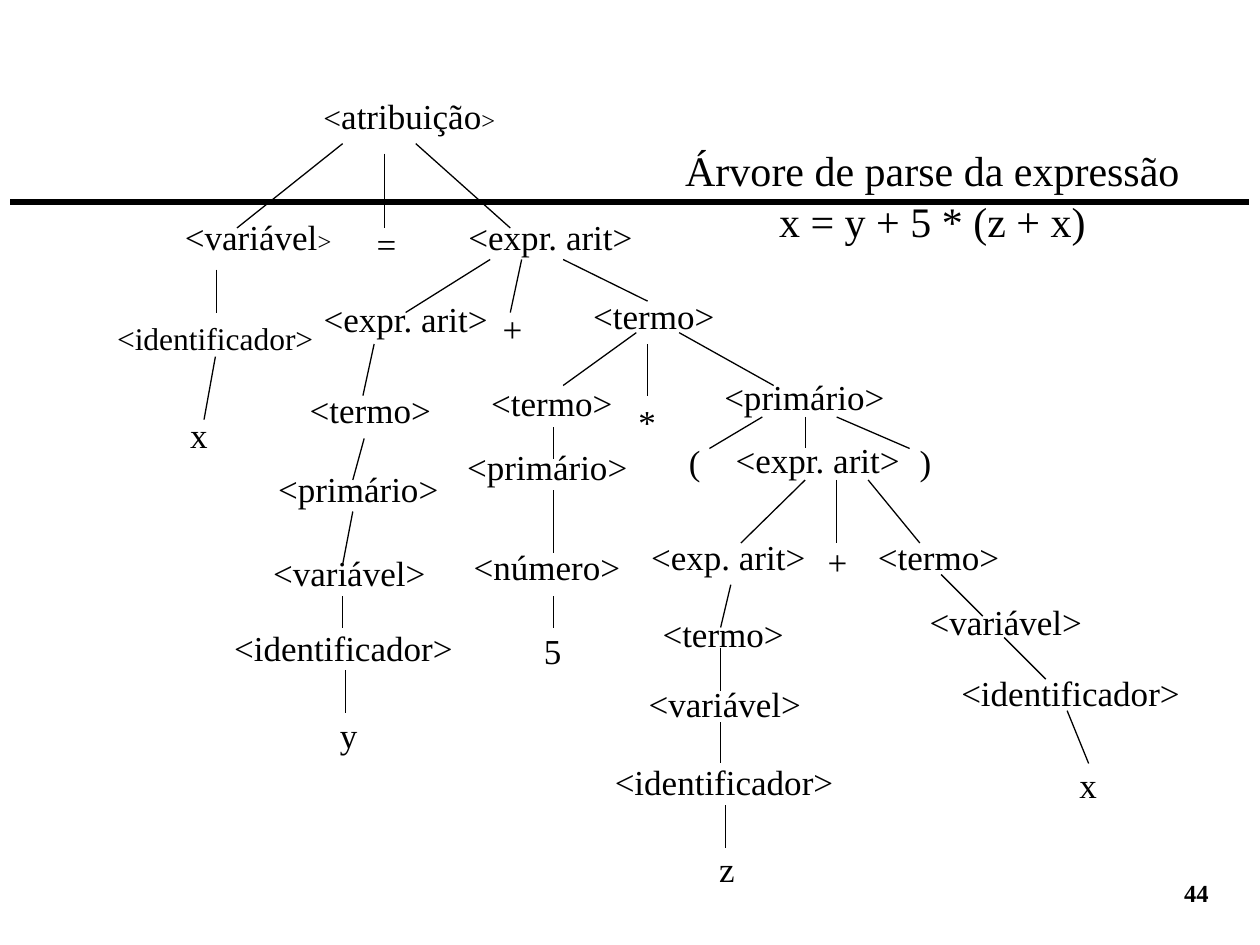
from dataclasses import dataclass
from typing import Optional

import pptx
import pptx.dml.color
import pptx.enum.shapes
import pptx.enum.text
import pptx.oxml.ns
import pptx.util
from lxml import etree

Pt = pptx.util.Pt
ALIGN = pptx.enum.text.PP_ALIGN


@dataclass(frozen=True)
class Theme:
    font: str = "Times New Roman"
    ink: pptx.dml.color.RGBColor = pptx.dml.color.RGBColor(0, 0, 0)
    title: float = 24
    symbol: float = 20
    small: float = 18
    tiny: float = 14
    rule: float = 3
    branch: float = 0.75


@dataclass(frozen=True)
class Line:
    x1: float
    y1: float
    x2: float
    y2: float


@dataclass(frozen=True)
class Span:
    text: str
    size: float


THEME = Theme()


@dataclass(frozen=True)
class Node:
    """A grammar symbol and the branch that leads down to it."""
    label: str
    left: float
    top: float
    branch: Optional[Line] = None
    width: Optional[float] = None  # a given width makes the text wrap
    size: float = THEME.symbol
    spans: tuple[Span, ...] = ()


WIDTHS = {
    "<atribuição>": 113.5, "<variável>": 102.5, "<expr. arit>": 110.4,
    "<exp. arit>": 103.5, "<termo>": 84.5, "<primário>": 106.8,
    "<número>": 99, "<identificador>": 140.5, "=": 26, "+": 26,
    "(": 21.5, ")": 21.5, "z": 23.5,
}
DEFAULT_WIDTH = 25

ASSIGNMENT = [
    Node("<atribuição>", 177.8, 50.4, spans=(
        Span("<", THEME.small), Span("atribuição", THEME.symbol), Span(">", THEME.tiny))),
    Node("<variável>", 98.6, 119.5, Line(195.8, 82.1, 135.4, 130.3), width=98.5,
         spans=(Span("<variável", THEME.symbol), Span(">", THEME.tiny))),
    Node("=", 208.1, 123.8, Line(219.6, 87.8, 219.6, 130.3)),
    Node("<expr. arit>", 260.6, 119.5, Line(237.6, 82.1, 291.6, 130.3)),
    Node("<identificador>", 59.8, 178.6, Line(123.8, 154.1, 123.8, 178.6),
         width=127.4, size=THEME.small),
    Node("x", 101.5, 232.6, Line(123.1, 203.8, 116.6, 239.8), width=28.1),
]
LEFT_OPERAND = [
    Node("<expr. arit>", 177.8, 166.3, Line(280.1, 148.3, 231.8, 178.6)),
    Node("+", 280.1, 172.1, Line(298.1, 148.3, 291.6, 178.6)),
    Node("<termo>", 169.9, 218.2, Line(213.8, 196.6, 207.4, 226.1)),
    Node("<primário>", 151.9, 263.5, Line(208.1, 250.6, 201.6, 274.3)),
    Node("<variável>", 149, 311.8, Line(201.6, 292.3, 195.8, 322.6)),
    Node("<identificador>", 126.7, 354.2, Line(195.8, 340.6, 195.8, 358.6)),
    Node("y", 187.2, 403.9, Line(197.3, 383, 197.3, 407.5)),
]
PRODUCT = [
    Node("<termo>", 331.9, 164.9, Line(321.8, 148.3, 370.1, 172.1), width=108),
    Node("<termo>", 273.6, 214.6, Line(363.6, 190.1, 321.8, 220.3), width=102.2),
    Node("*", 357.8, 225.4, Line(370.1, 196.6, 370.1, 226.1)),
    Node("<primário>", 406.8, 211, Line(388.1, 190.1, 442.1, 220.3)),
    Node("<primário>", 259.9, 251.3, Line(316.1, 244.1, 316.1, 262.1)),
    Node("<número>", 263.5, 308.2, Line(316.1, 280.1, 316.1, 316.1)),
    Node("5", 303.8, 356.4, Line(316.1, 340.6, 316.1, 358.6)),
]
PARENTHESES = [
    Node("(", 386.6, 248.4, Line(435.6, 238.3, 405.4, 256.3)),
    Node("<expr. arit>", 413.3, 247, Line(460.1, 238.3, 460.1, 256.3)),
    Node(")", 518.4, 248.4, Line(478.1, 238.3, 519.8, 256.3)),
    Node("<exp. arit>", 365, 302.4, Line(460.1, 274.3, 423.4, 310.3)),
    Node("+", 465.8, 305.3, Line(478.1, 274.3, 478.1, 310.3)),
    Node("<termo>", 494.6, 302.4, Line(496.1, 274.3, 525.6, 310.3)),
    Node("<termo>", 371.5, 346.3, Line(417.6, 334.1, 411.8, 358.6)),
    Node("<variável>", 363.6, 386.6, Line(411.8, 370.1, 411.8, 394.6)),
    Node("<identificador>", 344.2, 431.3, Line(411.8, 412.6, 411.8, 436.3)),
    Node("z", 403.9, 481, Line(414.7, 460.1, 414.7, 484.6)),
    Node("<variável>", 524.2, 339.8, Line(537.8, 328.3, 561.6, 352.1)),
    Node("<identificador>", 542.2, 380.2, Line(573.8, 364.3, 597.6, 388.1)),
    Node("x", 609.8, 432.7, Line(609.8, 406.1, 622.1, 436.3)),
]


def draw_line(page, line: Line, weight: float) -> None:
    connector = page.shapes.add_connector(
        pptx.enum.shapes.MSO_CONNECTOR.STRAIGHT,
        Pt(line.x1), Pt(line.y1), Pt(line.x2), Pt(line.y2))
    connector.line.color.rgb = THEME.ink
    connector.line.width = Pt(weight)
    properties = connector._element.spPr
    etree.SubElement(properties, pptx.oxml.ns.qn("a:effectLst"))


def add_text(page, left: float, top: float, width: float, height: float,
             spans: tuple[Span, ...], wrap: bool = False, align=ALIGN.LEFT,
             bold: bool = False, fit: bool = True) -> None:
    """Set spans in one paragraph; a newline inside a span breaks the line."""
    box = page.shapes.add_textbox(Pt(left), Pt(top), Pt(width), Pt(height))
    frame = box.text_frame
    frame.word_wrap = wrap
    if fit:
        frame.auto_size = pptx.enum.text.MSO_AUTO_SIZE.SHAPE_TO_FIT_TEXT
    para = frame.paragraphs[0]
    para.alignment = align
    para.font.name = THEME.font
    para.font.color.rgb = THEME.ink
    para.font.bold = bold
    para.font.size = Pt(spans[0].size)
    for span in spans:
        for number, text in enumerate(span.text.split("\n")):
            if number:
                para.add_line_break()
            run = para.add_run()
            run.text = text
            if span.size != spans[0].size:
                run.font.size = Pt(span.size)


def draw_node(page, node: Node) -> None:
    spans = node.spans or (Span(node.label, node.size),)
    width = node.width or WIDTHS.get(node.label, DEFAULT_WIDTH)
    wrap = node.width is not None and not node.spans
    height = 7.2 + 1.22 * node.size
    add_text(page, node.left, node.top, width, height, spans, wrap)
    if node.branch:
        draw_line(page, node.branch, THEME.branch)


def main() -> None:
    deck = pptx.Presentation()
    deck.slide_width, deck.slide_height = Pt(720), Pt(540)
    page = deck.slides.add_slide(deck.slide_layouts[6])
    draw_line(page, Line(6, 115.5, 714, 115.5), THEME.rule)
    add_text(page, 648, 498.2, 49.7, 36, (Span("44", THEME.tiny),),
             wrap=True, align=ALIGN.RIGHT, bold=True, fit=False)
    for node in ASSIGNMENT + LEFT_OPERAND + PRODUCT + PARENTHESES:
        draw_node(page, node)
    add_text(page, 383.3, 79.2, 299, 64.8,
             (Span("Árvore de parse da expressão\nx = y + 5 * (z + x)", THEME.title),),
             align=ALIGN.CENTER)
    deck.save("out.pptx")


if __name__ == "__main__":
    main()
